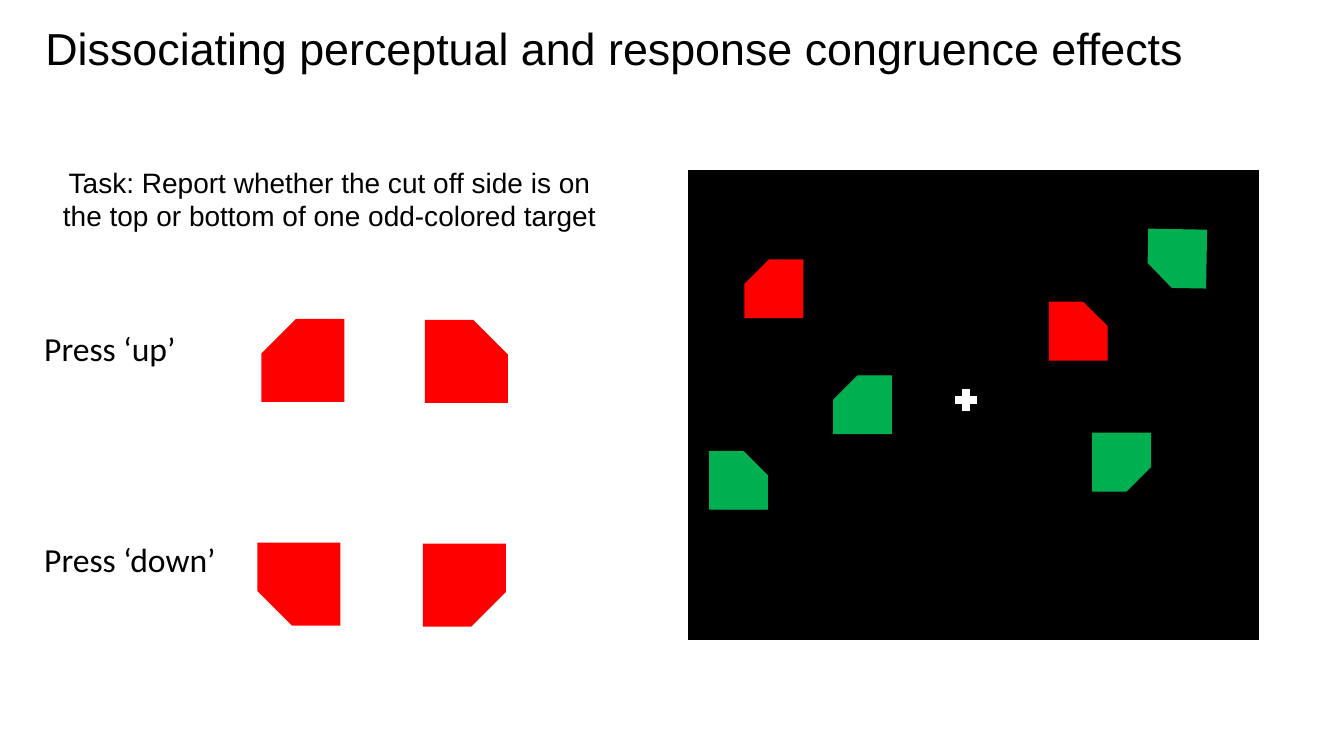
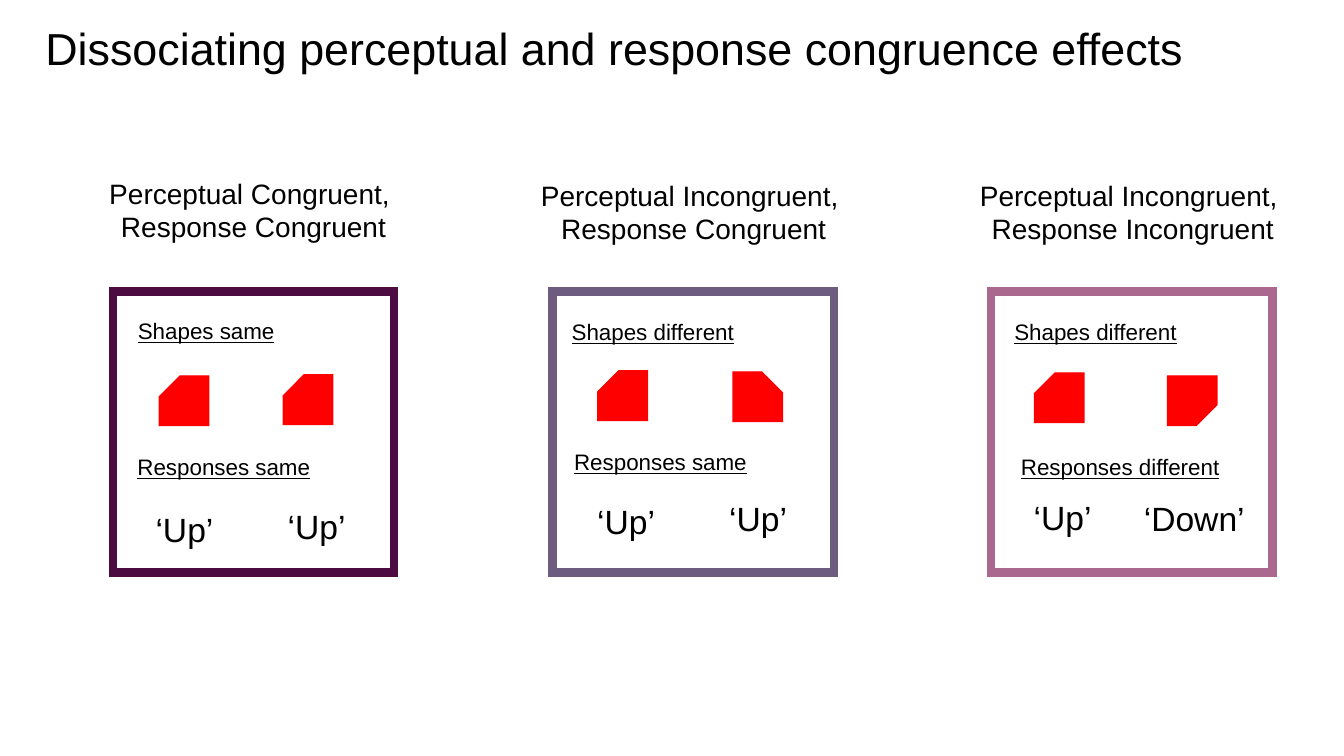
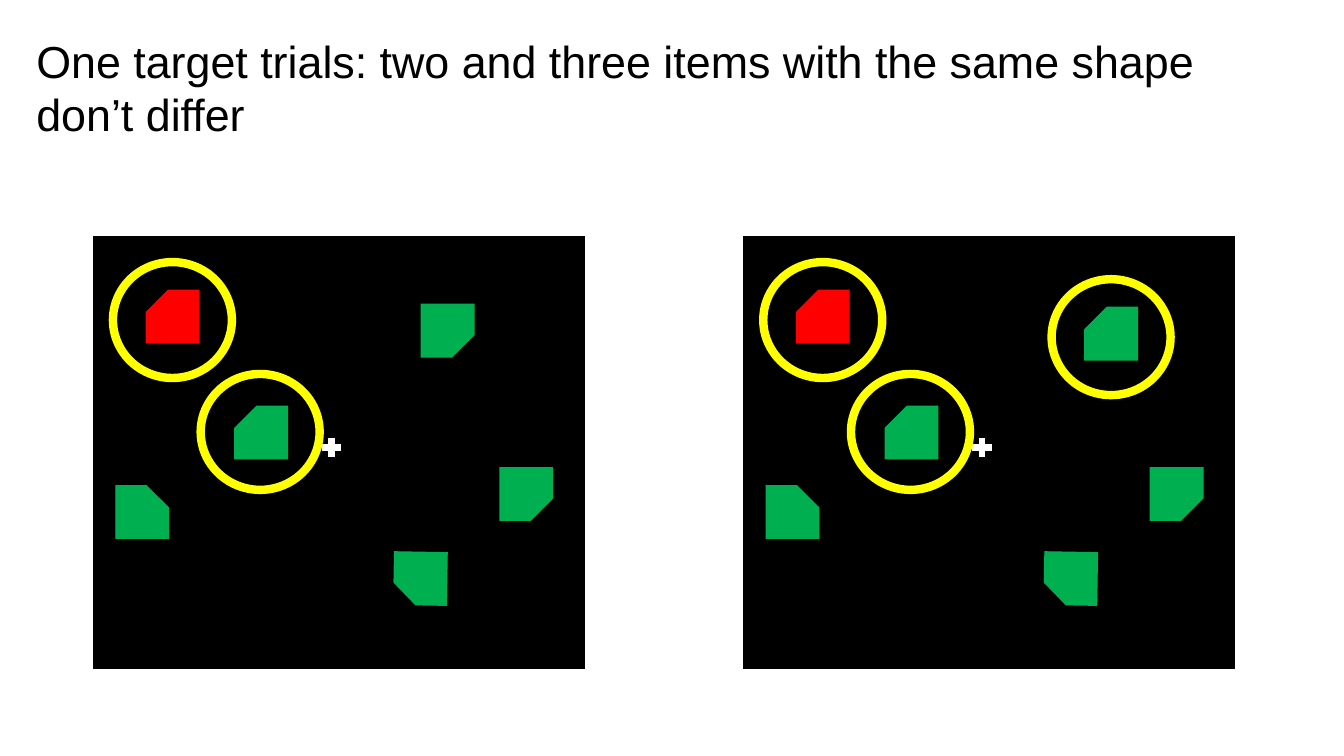
from dataclasses import dataclass

from lxml import etree
from pptx import Presentation
from pptx.dml.color import RGBColor
from pptx.enum.shapes import MSO_SHAPE
from pptx.enum.text import MSO_ANCHOR, MSO_AUTO_SIZE, PP_ALIGN
from pptx.oxml.ns import qn
from pptx.shapes.base import BaseShape
from pptx.slide import Slide
from pptx.util import Pt

PX = 9144  # EMU in one px, 100 px to the inch
RECT, OVAL = MSO_SHAPE.RECTANGLE, MSO_SHAPE.OVAL
SNIP, CROSS = MSO_SHAPE.SNIP_1_RECTANGLE, MSO_SHAPE.CROSS
LEFT, MID = PP_ALIGN.LEFT, PP_ALIGN.CENTER
TOP, FIXED = MSO_ANCHOR.TOP, MSO_AUTO_SIZE.NONE

HUES = {
    "black": "000000",
    "white": "FFFFFF",
    "red": "FF0000",
    "green": "00B050",
    "yellow": "FFFF00",
    "plum": "4C0B41",
    "slate": "6D5B80",
    "rose": "AB688E",
}
# The preset cuts the top right corner; a turn moves the cut.
TURNS = {"TR": 0, "BR": 90, "BL": 180, "TL": 270}
CUT = 0.42


@dataclass(frozen=True)
class Item:
    x: int
    y: int
    cut: str
    hue: str = "red"
    tilt: int = 0


@dataclass(frozen=True)
class Label:
    x: int
    y: int
    w: int
    text: str


@dataclass(frozen=True)
class Pane:
    """One condition: framed box with its heading, notes, items and answers."""
    x: int
    hue: str
    head: Label
    notes: tuple[Label, Label]
    items: tuple[Item, Item]
    keys: tuple[Label, Label]


def color(name: str) -> RGBColor:
    return RGBColor.from_string(HUES[name])


def write(box: BaseShape, text: str, *, size: int = 20, font: str = "Arial",
          align: PP_ALIGN = MID, under: bool = False) -> None:
    frame = box.text_frame
    frame.word_wrap = True
    frame.auto_size = FIXED
    frame.vertical_anchor = TOP
    frame.text = text
    for para in frame.paragraphs:
        para.alignment = align
        for run in para.runs:
            run.font.name = font
            run.font.size = Pt(size)
            run.font.color.rgb = color("black")
            if under:
                run.font.underline = True


def place(box: BaseShape, x: int, y: int, w: int, h: int) -> None:
    box.left, box.top, box.width, box.height = (n * PX for n in (x, y, w, h))


def note(slide: Slide, label: Label, h: int, **style) -> None:
    box = slide.shapes.add_textbox(0, 0, PX, PX)
    place(box, label.x, label.y, label.w, h)
    write(box, label.text, **style)


def shape(slide: Slide, kind: MSO_SHAPE, x: int, y: int, w: int, h: int, *,
          fill: str | None = None, line: str = "black",
          width: float = 1) -> BaseShape:
    """Draw a preset shape with sharp line joins and no shadow."""
    form = slide.shapes.add_shape(kind, x * PX, y * PX, w * PX, h * PX)
    form.shadow.inherit = False
    if fill:
        form.fill.solid()
        form.fill.fore_color.rgb = color(fill)
    else:
        form.fill.background()
    form.line.color.rgb = color(line)
    form.line.width = Pt(width)
    etree.SubElement(form.line._get_or_add_ln(), qn("a:miter"), lim="800000")
    return form


def draw(slide: Slide, items: tuple[Item, ...], side: int, dx: int = 0) -> None:
    """Draw squares that each lack one corner."""
    for item in items:
        form = shape(slide, SNIP, item.x + dx, item.y, side, side,
                     fill=item.hue, line=item.hue)
        form.adjustments[0] = CUT
        form.rotation = TURNS[item.cut] + item.tilt


def screen(slide: Slide, x: int, y: int, w: int, h: int) -> None:
    shape(slide, RECT, x, y, w, h, fill="black", width=4.5)


def plus(slide: Slide, x: int, y: int, side: int) -> None:
    form = shape(slide, CROSS, x, y, side, side, fill="white", line="white")
    form.adjustments[0] = 0.35


def rings(slide: Slide, spots: tuple[tuple[int, int], ...], dx: int) -> None:
    for x, y in spots:
        shape(slide, OVAL, x + dx, y, 118, 115, line="yellow", width=6)


def start(deck: Presentation, title: str, x: int, y: int, w: int, h: int) -> Slide:
    """Add a title-only slide."""
    slide = deck.slides.add_slide(deck.slide_layouts[5])
    place(slide.shapes.title, x, y, w, h)
    write(slide.shapes.title, title, size=32, align=LEFT)
    return slide


TOPIC = "Dissociating perceptual and response congruence effects"
TOPIC_AT = (35, 16, 1150, 70)
TASK = Label(44, 159, 566, "Task: Report whether the cut off side is on "
             "the top or bottom of one odd-colored target")
PRESS = (Label(34, 320, 218, "Press ‘up’"), Label(34, 530, 218, "Press ‘down’"))
SAMPLES = (
    Item(260, 317, "TL"), Item(422, 318, "TR"),
    Item(256, 539, "BL"), Item(420, 540, "BR"),
)
FIELD = (
    Item(739, 258, "TL"), Item(1041, 300, "TR"),
    Item(827, 373, "TL", "green"), Item(704, 448, "TR", "green"),
    Item(1139, 228, "BL", "green", 1), Item(1084, 430, "BR", "green"),
)

PANES = (
    Pane(112, "plum",
         Label(35, 170, 433, "Perceptual Congruent, \nResponse Congruent"),
         (Label(114, 310, 181, "Shapes same"),
          Label(112, 445, 220, "Responses same")),
         (Item(158, 373, "TL"), Item(281, 372, "TL")),
         (Label(141, 500, 84, "‘Up’"), Label(272, 497, 84, "‘Up’"))),
    Pane(548, "slate",
         Label(517, 172, 342, "Perceptual Incongruent, \nResponse Congruent"),
         (Label(539, 311, 217, "Shapes different"),
          Label(554, 440, 202, "Responses same")),
         (Item(593, 368, "TL"), Item(727, 369, "TR")),
         (Label(579, 492, 84, "‘Up’"), Label(710, 489, 84, "‘Up’"))),
    Pane(983, "rose",
         Label(946, 172, 355, "Perceptual Incongruent, \nResponse Incongruent"),
         (Label(974, 311, 225, "Shapes different"),
          Label(978, 445, 266, "Responses different")),
         (Item(1026, 370, "TL"), Item(1158, 373, "BR")),
         (Label(1012, 488, 84, "‘Up’"), Label(1111, 489, 147, "‘Down’"))),
)

SHARED = (
    Item(145, 288, "TL"), Item(233, 403, "TL", "green"),
    Item(115, 482, "TR", "green"), Item(391, 548, "BL", "green", 1),
    Item(496, 464, "BR", "green"),
)
SPOTS = ((112, 260), (199, 371))
STEP = 645
# Last item of each trial, and the rings it adds, relative to its screen
TRIALS = (
    (Item(418, 302, "BR", "green"), ()),
    (Item(431, 305, "TL", "green"), ((398, 277),)),
)


def task(deck: Presentation) -> None:
    slide = start(deck, TOPIC, *TOPIC_AT)
    note(slide, TASK, 77)
    for label in PRESS:
        note(slide, label, 50, size=24, font="Calibri", align=LEFT)
    draw(slide, SAMPLES, 81)
    screen(slide, 686, 172, 560, 460)
    plus(slide, 948, 387, 20)
    draw(slide, FIELD, 57)


def cases(deck: Presentation) -> None:
    slide = start(deck, TOPIC, *TOPIC_AT)
    for pane in PANES:
        note(slide, pane.head, 77)
        shape(slide, RECT, pane.x, 289, 279, 279, line=pane.hue, width=6)
        for label in pane.notes:
            note(slide, label, 37, size=16, under=True)
        draw(slide, pane.items, 49)
        for label in pane.keys:
            note(slide, label, 50, size=24)


def trials(deck: Presentation) -> None:
    slide = start(deck, "One target trials: two and three items with the same "
                  "shape don’t differ", 26, 28, 1260, 118)
    for index, (last, extra) in enumerate(TRIALS):
        dx = index * STEP
        screen(slide, 95 + dx, 237, 482, 424)
        plus(slide, 320 + dx, 435, 18)
        draw(slide, SHARED + (last,), 52, dx)
        rings(slide, SPOTS + extra, dx)


def main() -> None:
    deck = Presentation()
    deck.slide_width, deck.slide_height = 1333 * PX, 750 * PX
    for build in (task, cases, trials):
        build(deck)
    deck.save("out.pptx")


if __name__ == "__main__":
    main()
